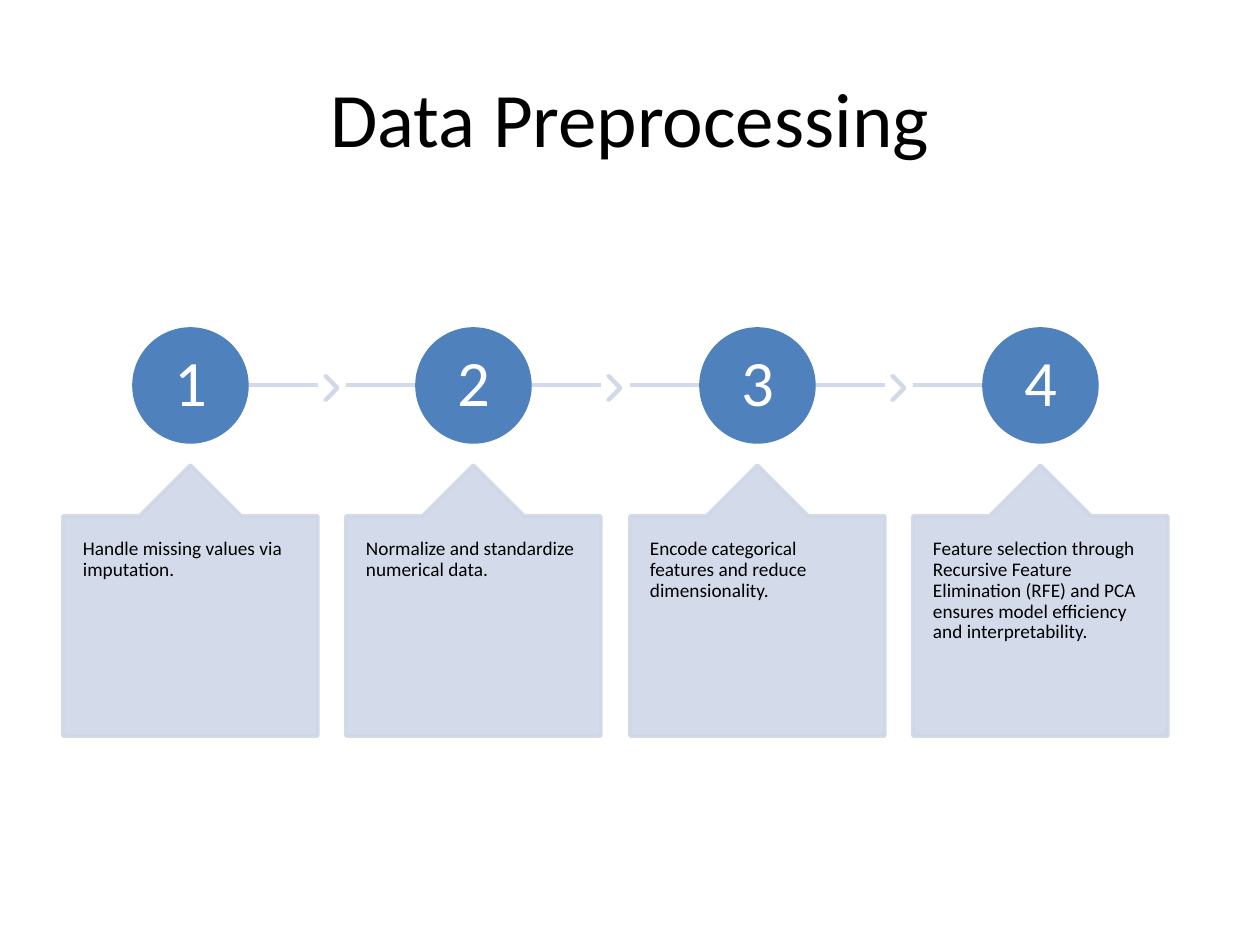
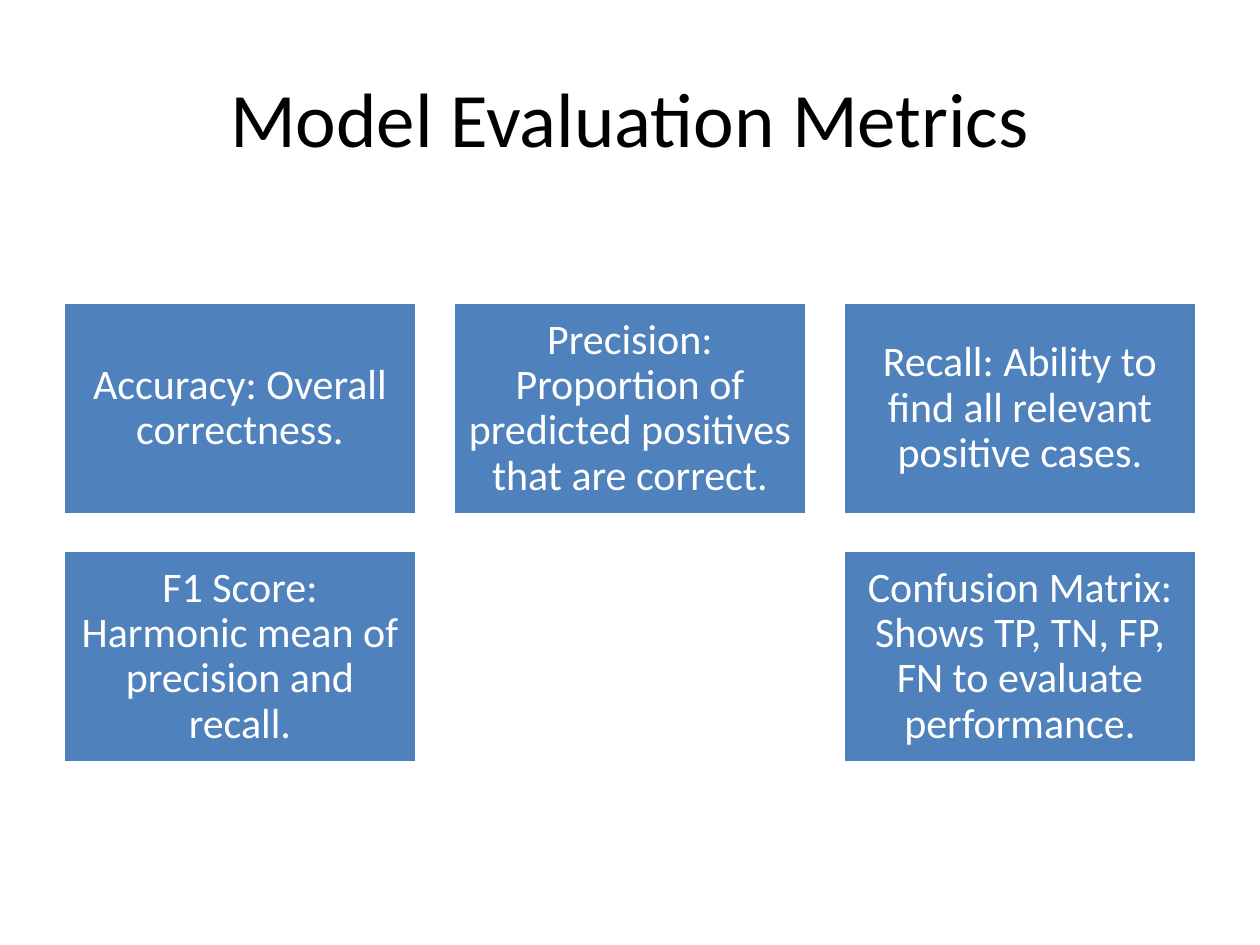
from lxml import etree
from pptx import Presentation
from pptx import util as u
from pptx.dml.color import RGBColor
from pptx.enum import shapes, text
from pptx.oxml import ns

EMU_PER_PX = u.Inches(1) / 126
FONT = "Calibri"
COLORS = {"blue": "4F81BD", "pale": "CFD7E7", "white": "FFFFFF", "black": "000000"}
PALE_OPACITY = 90000
TITLE_ONLY = 5

STEPS = [
    "Handle missing values via imputation.",
    "Normalize and standardize numerical data.",
    "Encode categorical features and reduce dimensionality.",
    "Feature selection through Recursive Feature Elimination (RFE) and PCA "
    "ensures model efficiency and interpretability.",
]
# Metric cards, keyed by (row, column)
METRICS = {
    (0, 0): "Accuracy: Overall correctness.",
    (0, 1): "Precision: Proportion of predicted positives that are correct.",
    (0, 2): "Recall: Ability to find all relevant positive cases.",
    (1, 0): "F1 Score: Harmonic mean of precision and recall.",
    (1, 2): "Confusion Matrix: Shows TP, TN, FP, FN to evaluate performance.",
}


def px(length):
    return u.Emu(round(length * EMU_PER_PX))


def rgb(name):
    return RGBColor.from_string(COLORS[name])


def write(shape, content, size, color, align="CENTER", anchor="MIDDLE",
          inset=(13, 6), spacing=None):
    """Fill a shape with one formatted paragraph; inset is (sides, top and bottom)."""
    frame = shape.text_frame
    frame.text = content
    frame.word_wrap = True
    frame.auto_size = text.MSO_AUTO_SIZE.NONE
    frame.vertical_anchor = text.MSO_ANCHOR[anchor]
    frame.margin_left = frame.margin_right = px(inset[0])
    frame.margin_top = frame.margin_bottom = px(inset[1])
    paragraph = frame.paragraphs[0]
    paragraph.alignment = text.PP_ALIGN[align]
    paragraph.line_spacing = spacing
    font = paragraph.runs[0].font
    font.name, font.size = FONT, u.Pt(size)
    font.color.rgb = rgb(color)


def make_translucent(shape):
    for color in shape.element.spPr.iter(ns.qn("a:srgbClr")):
        etree.SubElement(color, ns.qn("a:alpha"), val=str(PALE_OPACITY))


def add_box(slide, kind, left, top, width, height, fill, line, adjustments=()):
    shape = slide.shapes.add_shape(shapes.MSO_SHAPE[kind], px(left), px(top),
                                   px(width), px(height))
    shape.shadow.inherit = False
    shape.fill.solid()
    shape.fill.fore_color.rgb = rgb(fill)
    shape.line.color.rgb = rgb(line)
    shape.line.width = u.Pt(2)
    for index, value in enumerate(adjustments):
        shape.adjustments[index] = value
    if fill == "pale":
        make_translucent(shape)
    return shape


def add_rail(slide, start, end, y):
    rail = slide.shapes.add_connector(shapes.MSO_CONNECTOR.STRAIGHT,
                                      px(start), px(y), px(end), px(y))
    rail.line.color.rgb = rgb("pale")
    rail.line.width = u.Pt(2)
    etree.SubElement(rail.element.spPr, ns.qn("a:effectLst"))
    make_translucent(rail)


def add_titled_slide(presentation, title):
    slide = presentation.slides.add_slide(presentation.slide_layouts[TITLE_ONLY])
    shape = slide.shapes.title
    shape.left, shape.top, shape.width, shape.height = map(px, (63, 38, 1134, 158))
    write(shape, title, 44, "black")
    return slide


def add_step(slide, index, description):
    width, circle = 255, 113
    left = 63 + index * 567 // 2
    center = left + width // 2
    is_first, is_last = index == 0, index == len(STEPS) - 1

    # Rail and chevron towards the next step
    add_rail(slide, center if is_first else left,
             center if is_last else left + width, 385)
    if not is_last:
        add_box(slide, "CHEVRON", left + 262, 376, 13, 24, "pale", "pale", [0.9])

    # Numbered circle
    number = add_box(slide, "OVAL", center - circle // 2, 329, circle, circle,
                     "blue", "blue")
    write(number, str(index + 1), 37, "white", inset=(4, 4), spacing=0.9)

    # Description
    callout = add_box(slide, "UP_ARROW_CALLOUT", left, 465, width, 271,
                      "pale", "pale", [0.5, 0.2, 0.2, 1])
    write(callout, description, 11, "black", align="LEFT", anchor="TOP",
          inset=(20, 23), spacing=0.9)


def add_metric(slide, row, column, description):
    card = add_box(slide, "RECTANGLE", 63 + column * 390, 302 + row * 248, 354, 213,
                   "blue", "white")
    write(card, description, 24, "white", inset=(12, 12), spacing=0.9)


def main():
    presentation = Presentation()
    presentation.slide_width, presentation.slide_height = px(1260), px(945)

    # Preprocessing steps
    slide = add_titled_slide(presentation, "Data Preprocessing")
    for index, description in enumerate(STEPS):
        add_step(slide, index, description)

    # Evaluation metrics
    slide = add_titled_slide(presentation, "Model Evaluation Metrics")
    for (row, column), description in METRICS.items():
        add_metric(slide, row, column, description)

    presentation.save("out.pptx")


if __name__ == "__main__":
    main()
